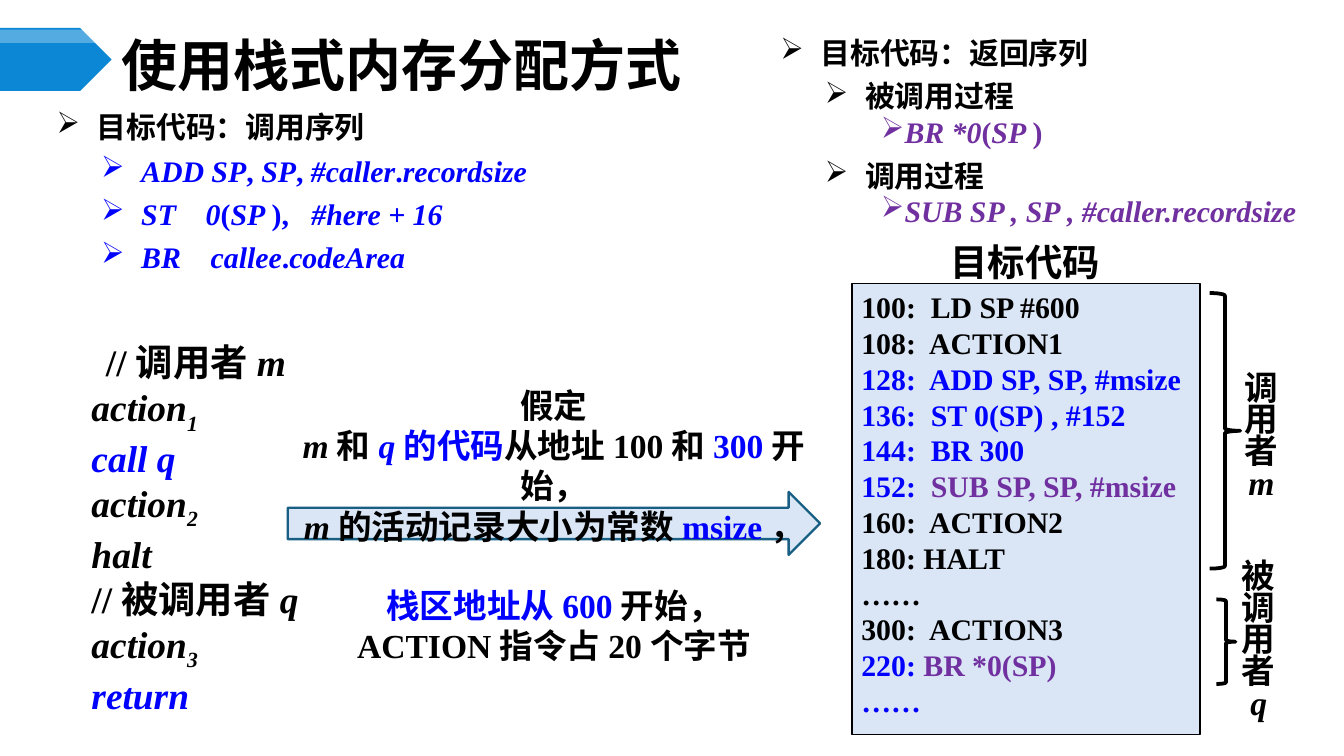
from lxml.etree import SubElement
from pptx import Presentation
from pptx.dml.color import RGBColor
from pptx.enum.shapes import MSO_SHAPE
from pptx.enum.text import MSO_ANCHOR, PP_ALIGN
from pptx.oxml.ns import qn
from pptx.util import Cm, Pt

BLACK = RGBColor(0x00, 0x00, 0x00)
WHITE = RGBColor(0xFF, 0xFF, 0xFF)
BLUE = RGBColor(0x00, 0x00, 0xFF)
PURPLE = RGBColor(0x70, 0x30, 0xA0)
SKY = RGBColor(0x0B, 0x87, 0xD6)
PALE = RGBColor(0xDA, 0xE6, 0xF6)
TEAL = RGBColor(0x19, 0x5F, 0x84)
SERIF = "Times New Roman"
HAN = "Noto Sans CJK SC"
TIGHT = (0.18, 0.1)
ROOMY = (0.25, 0.13)

TITLE = "使用栈式内存分配方式"

# Each run is (text, colour, italic, baseline); the last three may be left out.
CALL_SEQUENCE = [
    (0, [("目标代码：调用序列",)]),
    (1, [("ADD SP", BLUE, True), (", ", BLUE), ("SP", BLUE, True), (",", BLUE),
         (" #caller", BLUE, True), (".", BLUE), ("recordsize", BLUE, True)]),
    (1, [("ST    0", BLUE, True), ("(", BLUE), ("SP ", BLUE, True), ("),", BLUE),
         ("   #here + 16", BLUE, True)]),
    (1, [("BR    callee", BLUE, True), (".", BLUE), ("codeArea", BLUE, True)]),
]
RETURN_SEQUENCE = [
    (0, [("目标代码：返回序列",)]),
    (1, [("被调用过程",)]),
    (2, [("BR *0", PURPLE, True), ("(", PURPLE), ("SP ", PURPLE, True), (")", PURPLE)]),
    (1, [("调用过程",)]),
    (2, [("SUB SP , SP , #caller.recordsize", PURPLE, True)]),
]
SOURCE_PROGRAM = [
    [("//调用者",), ("m", BLACK, True)],
    [("action", BLACK, True), ("1", BLACK, True, -25000)],
    [("call q", BLUE, True)],
    [("action", BLACK, True), ("2", BLACK, True, -25000)],
    [("halt", BLACK, True)],
    [("//被调用者",), ("q", BLACK, True)],
    [("action", BLACK, True), ("3", BLACK, True, -25000)],
    [("return", BLUE, True)],
]
TARGET_CODE = [
    [("100:  LD SP #600",)],
    [("108:  ACTION1",)],
    [("128:  ADD SP, SP, #msize", BLUE)],
    [("136:  ST 0(SP) , #152", BLUE)],
    [("144:  BR 300", BLUE)],
    [("152:  ", BLUE), ("SUB SP, SP, #msize", PURPLE)],
    [("160:  ACTION2",)],
    [("180: HALT",)],
    [("……",)],
    [("300:  ACTION3",)],
    [("220: ", BLUE), ("BR *0(SP)", PURPLE)],
    [("……", BLUE)],
]
ASSUMPTIONS = [
    [("假定",)],
    [("m", BLACK, True), ("和",), ("q", BLUE, True), ("的代码", BLUE),
     ("从地址100和",), ("300", BLUE), ("开始，",)],
    [("m", BLACK, True), ("的活动记录大小为常数",), ("msize", BLUE), ("，",)],
    [("栈区地址从600", BLUE), ("开始，",)],
    [("ACTION指令占20个字节",)],
]
STACK_START = 3
CODE_LABEL = [[("目标代码",)]]
ROLES = [
    ("调用者", "m", (22.86, 5.54, 0.58, 5.21), (23.27, 6.96, 1.14, 2.67)),
    ("被调用者", "q", (22.99, 11.33, 0.36, 1.6), (23.22, 10.52, 1.14, 3.28)),
]
BULLET_INDENTS = [(0.76, -0.76), (1.6, -0.76), (1.9, 0)]


def add_run(paragraph, size, text, color=BLACK, italic=False, baseline=0, face=SERIF):
    run = paragraph.add_run()
    run.text = text
    font = run.font
    font.size, font.bold, font.italic, font.name = Pt(size), True, italic, face
    font.color.rgb = color
    properties = run._r.get_or_add_rPr()
    SubElement(properties, qn("a:ea")).set("typeface", HAN)
    if baseline:
        properties.set("baseline", str(baseline))


def indent(paragraph, left, first=0):
    properties = paragraph._p.get_or_add_pPr()
    properties.set("marL", str(Cm(left)))
    properties.set("indent", str(Cm(first)))
    return properties


def set_frame(frame, insets, wrap=True):
    frame.word_wrap = wrap
    frame.vertical_anchor = MSO_ANCHOR.TOP
    frame.margin_left = frame.margin_right = Cm(insets[0])
    frame.margin_top = frame.margin_bottom = Cm(insets[1])


def write(frame, lines, size, align=PP_ALIGN.LEFT):
    for number, runs in enumerate(lines):
        paragraph = frame.add_paragraph() if number else frame.paragraphs[0]
        paragraph.alignment = align
        for run in runs:
            add_run(paragraph, size, *run)
    return frame.paragraphs


def add_text(slide, box, lines, size, align=PP_ALIGN.LEFT, insets=ROOMY, wrap=True):
    frame = slide.shapes.add_textbox(*map(Cm, box)).text_frame
    set_frame(frame, insets, wrap)
    return write(frame, lines, size, align)


def add_bullets(slide, box, items, insets):
    paragraphs = add_text(slide, box, [runs for _, runs in items], 16, insets=insets)
    for number, (paragraph, (level, _)) in enumerate(zip(paragraphs, items)):
        properties = indent(paragraph, *BULLET_INDENTS[level])
        SubElement(properties, qn("a:buChar")).set("char", "➢")
        if number and level < 2:
            paragraph.space_before = Pt(4)


def add_block(slide, kind, box, fill=None, line=None, width=1):
    block = slide.shapes.add_shape(kind, *map(Cm, box))
    block.shadow.inherit = False
    if fill is None:
        block.fill.background()
    else:
        block.fill.solid()
        block.fill.fore_color.rgb = fill
    if line is None:
        block.line.fill.background()
    else:
        block.line.color.rgb = line
        block.line.width = Pt(width)
    return block


def add_title(slide):
    title = slide.shapes.title
    title.left, title.top, title.width, title.height = map(Cm, (2.11, 0.74, 22.02, 0.99))
    set_frame(title.text_frame, TIGHT)
    title.text_frame.vertical_anchor = MSO_ANCHOR.MIDDLE
    paragraph = title.text_frame.paragraphs[0]
    paragraph.alignment = PP_ALIGN.LEFT
    paragraph.line_spacing = Pt(35)
    add_run(paragraph, 30, TITLE, face=HAN)


def main():
    deck = Presentation()
    deck.slide_width, deck.slide_height = Cm(25.4), Cm(14.29)
    slide = deck.slides.add_slide(deck.slide_layouts[5])

    add_block(slide, MSO_SHAPE.PENTAGON, (0, 0.53, 2.11, 1.19), SKY)
    sheen = add_block(slide, MSO_SHAPE.PENTAGON, (0, 0.56, 2.11, 0.25), WHITE)
    sheen_color = sheen._element.spPr.find(qn("a:solidFill"))[0]
    SubElement(sheen_color, qn("a:alpha")).set("val", "30000")

    add_title(slide)
    add_bullets(slide, (0.89, 1.96, 9.6, 3.61), CALL_SEQUENCE, TIGHT)
    add_bullets(slide, (14.5, 0.53, 10.39, 4.19), RETURN_SEQUENCE, ROOMY)

    program = add_text(slide, (0.71, 6.32, 5.99, 7.24), SOURCE_PROGRAM, 20, insets=TIGHT)
    program[0].alignment = PP_ALIGN.CENTER
    for statement in program[1:]:
        indent(statement, 0.84)

    code = add_block(slide, MSO_SHAPE.RECTANGLE, (16.1, 5.36, 6.58, 8.53), PALE, BLACK, 0.75)
    set_frame(code.text_frame, TIGHT)
    write(code.text_frame, TARGET_CODE, 16)

    add_block(slide, MSO_SHAPE.RIGHT_ARROW, (5.44, 9.3, 10.06, 1.19), PALE, TEAL, 1.25)
    assumptions = add_text(slide, (5.44, 7.14, 10.06, 4.88), ASSUMPTIONS, 18, PP_ALIGN.CENTER)
    assumptions[STACK_START].space_before = Pt(21)
    add_text(slide, (17.7, 4.39, 3.35, 1.12), CODE_LABEL, 20, PP_ALIGN.CENTER, wrap=False)

    for role, procedure, brace_box, role_box in ROLES:
        add_block(slide, MSO_SHAPE.RIGHT_BRACE, brace_box, None, BLACK, 2)
        letters = [[(letter,)] for letter in role] + [[(procedure, BLACK, True)]]
        for paragraph in add_text(slide, role_box, letters, 18, PP_ALIGN.CENTER, wrap=False):
            paragraph.line_spacing = Pt(17)

    deck.save("out.pptx")


if __name__ == "__main__":
    main()
